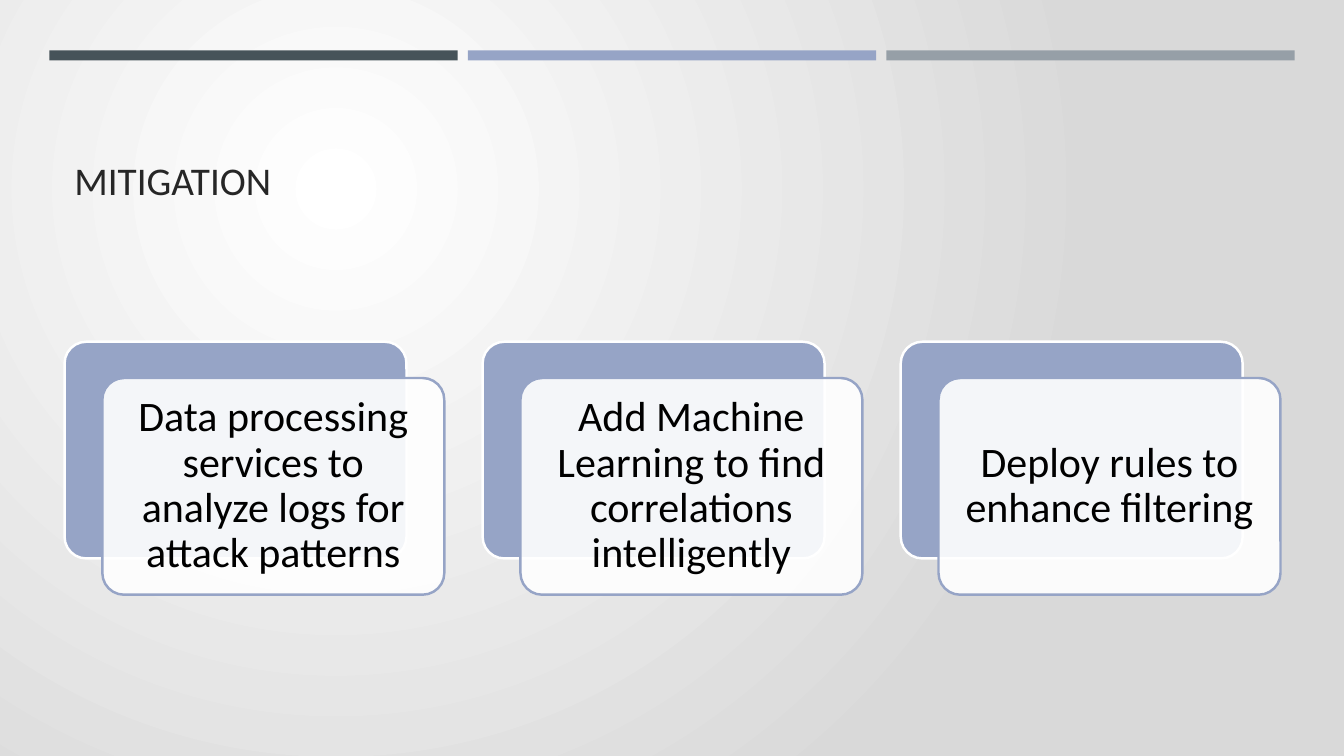
"""Build the Mitigation slide with three layered cards."""
from lxml import etree
from pptx import Presentation
from pptx.dml.color import RGBColor
from pptx.enum import shapes, text
from pptx.oxml import ns
from pptx.util import Inches, Pt

SLATE = RGBColor(0x46, 0x53, 0x59)
PERIWINKLE = RGBColor(0x96, 0xA4, 0xC6)
GRAY = RGBColor(0x96, 0x9F, 0xA7)
LIGHT_GRAY = RGBColor(0xD9, 0xD9, 0xD9)
WHITE = RGBColor(0xFF, 0xFF, 0xFF)
BLACK = RGBColor(0, 0, 0)
CHARCOAL = RGBColor(0x26, 0x26, 0x26)

MITIGATIONS = [
    "Data processing services to analyze logs for attack patterns",
    "Add Machine Learning to find correlations intelligently",
    "Deploy rules to enhance filtering",
]


def paint_background(slide):
    """Fill the background with a circular gradient from white to light gray."""
    fill = slide.background.fill
    fill.gradient()
    for stop, color, position in zip(fill.gradient_stops, (WHITE, LIGHT_GRAY), (0, 1)):
        stop.color.rgb = color
        stop.position = position
    gradient = slide.element.find(".//" + ns.qn("a:gradFill"))
    gradient.remove(gradient.find(ns.qn("a:lin")))
    circle = etree.SubElement(gradient, ns.qn("a:path"), path="circle")
    etree.SubElement(circle, ns.qn("a:fillToRect"),
                     l="50000", t="50000", r="100000", b="100000")


def add_panel(slide, kind, box, fill_color, line_color=None):
    """Add one flat filled shape, outlined when a line colour is given."""
    panel = slide.shapes.add_shape(kind, *map(Inches, box))
    panel.shadow.inherit = False
    panel.fill.solid()
    panel.fill.fore_color.rgb = fill_color
    if line_color is None:
        panel.line.fill.background()
    else:
        panel.line.color.rgb = line_color
        panel.line.width = Pt(1.75)
    return panel


def write_text(shape, words, frame_format, paragraph_format, size, color):
    """Write one formatted paragraph into a shape."""
    frame = shape.text_frame
    for name, value in frame_format.items():
        setattr(frame, name, value)
    paragraph = frame.paragraphs[0]
    paragraph.text = words
    for name, value in paragraph_format.items():
        setattr(paragraph, name, value)
    for name, value in {"name": "Calibri", "size": Pt(size)}.items():
        setattr(paragraph.font, name, value)
    paragraph.font.color.rgb = color


def add_header_bars(slide, left, top, width, height):
    """Draw three coloured bars side by side across the box."""
    gap = 0.1
    bar_width = (width - 2 * gap) / 3
    for i, color in enumerate((SLATE, PERIWINKLE, GRAY)):
        bar_left = left + i * (bar_width + gap)
        add_panel(slide, shapes.MSO_SHAPE.RECTANGLE,
                  (bar_left, top, bar_width, height), color)


def add_title(slide, left, top, width, height):
    """Set the slide title at the bottom of the box."""
    title = slide.shapes.add_textbox(*map(Inches, (left, top, width, height)))
    write_text(title, "MITIGATION",
               {"word_wrap": True, "vertical_anchor": text.MSO_ANCHOR.BOTTOM},
               {"alignment": text.PP_ALIGN.LEFT}, 28, CHARCOAL)


def add_card(slide, left, top, width, height, words):
    """Layer a translucent text card over a solid one, filling the box."""
    offset_x, offset_y = 0.375, 0.36
    size = (width - offset_x, height - offset_y)
    rounded = shapes.MSO_SHAPE.ROUNDED_RECTANGLE
    back = add_panel(slide, rounded, (left, top, *size), PERIWINKLE, WHITE)
    front = add_panel(slide, rounded, (left + offset_x, top + offset_y, *size),
                      WHITE, PERIWINKLE)
    for card in (back, front):
        card.adjustments[0] = 0.1
    white = front.element.spPr.find(ns.qn("a:solidFill"))[0]
    etree.SubElement(white, ns.qn("a:alpha"), val="90000")
    margins = ("margin_left", "margin_top", "margin_right", "margin_bottom")
    frame_format = {"word_wrap": True, "vertical_anchor": text.MSO_ANCHOR.MIDDLE,
                    **dict.fromkeys(margins, Inches(0.18))}
    write_text(front, words, frame_format,
               {"alignment": text.PP_ALIGN.CENTER, "line_spacing": 0.9}, 30, BLACK)


def add_cards(slide, left, top, width, height):
    """Spread the mitigation cards evenly across the box."""
    gap = 0.38
    count = len(MITIGATIONS)
    card_width = (width - (count - 1) * gap) / count
    for i, words in enumerate(MITIGATIONS):
        add_card(slide, left + i * (card_width + gap), top, card_width, height, words)


def main():
    """Build and save the presentation."""
    deck = Presentation()
    deck.slide_width, deck.slide_height = Inches(13.33), Inches(7.5)
    slide = deck.slides.add_slide(deck.slide_layouts[6])
    paint_background(slide)
    add_header_bars(slide, 0.49, 0.5, 12.35, 0.1)
    add_title(slide, 0.64, 0.77, 12.06, 1.3)
    add_cards(slide, 0.64, 3.39, 12.06, 2.51)
    deck.save("out.pptx")


if __name__ == "__main__":
    main()
